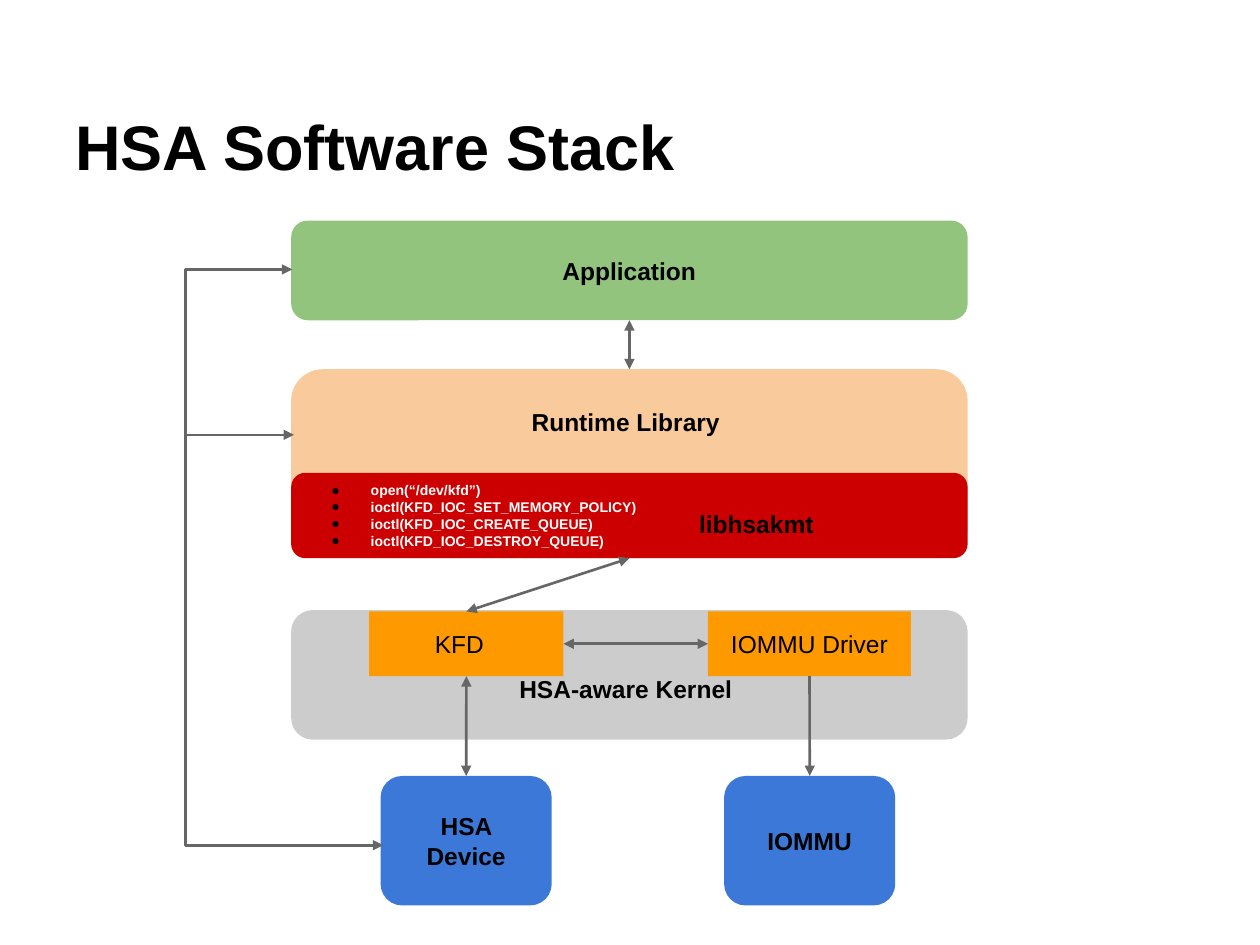
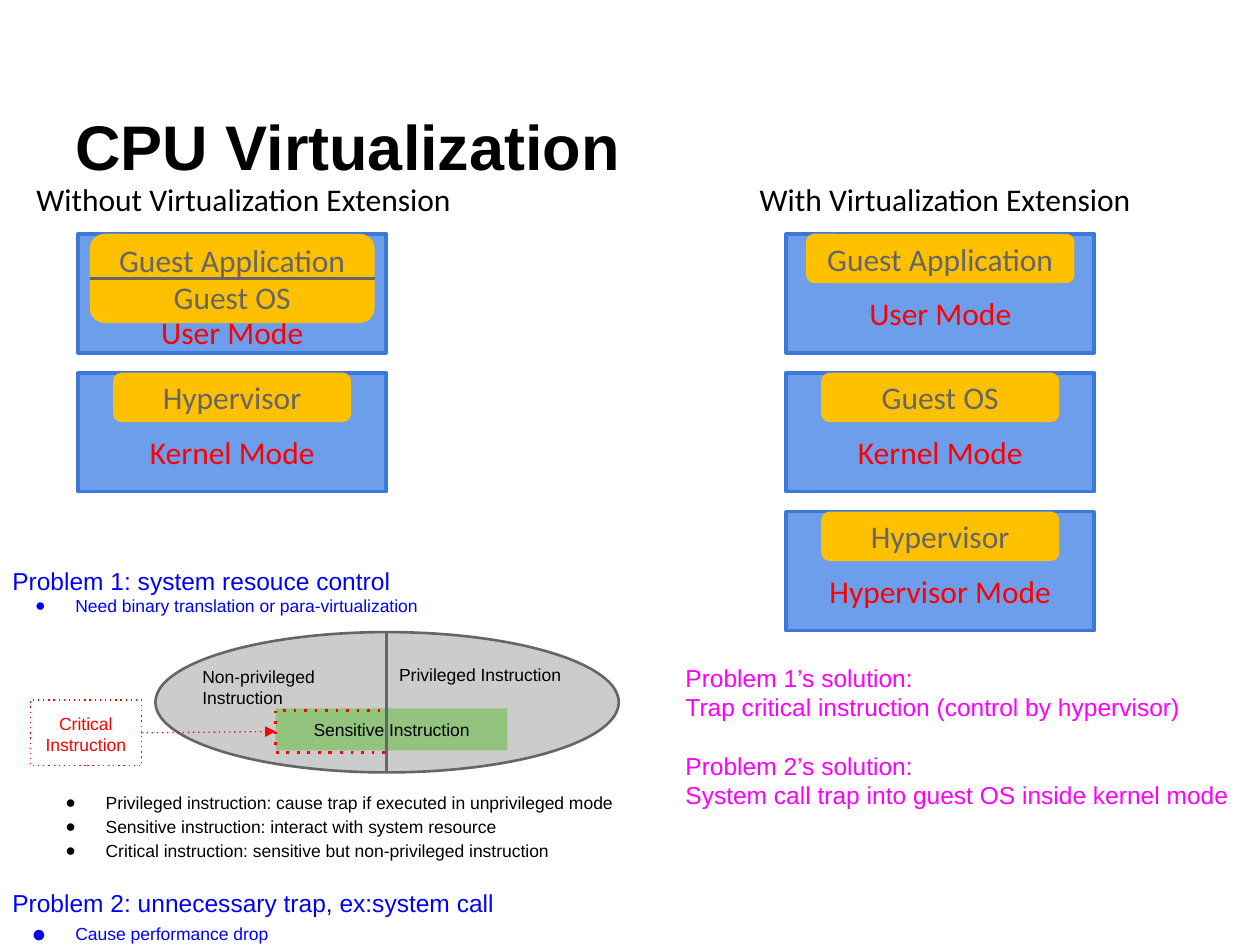
"""Build two slides: the HSA software stack and CPU virtualization."""
import pptx
import pptx.dml.color
import pptx.enum.shapes
import pptx.enum.text
import pptx.oxml.ns
import pptx.util
from lxml import etree

Pt = pptx.util.Pt
qn = pptx.oxml.ns.qn
color = pptx.dml.color.RGBColor.from_string
SHAPE = pptx.enum.shapes.MSO_SHAPE
STRAIGHT = pptx.enum.shapes.MSO_CONNECTOR.STRAIGHT
ALIGN = pptx.enum.text.PP_ALIGN
ANCHOR = pptx.enum.text.MSO_ANCHOR

BLACK, GRAY, SILVER, GREEN, ORANGE = "000000", "666666", "CCCCCC", "93C47D", "FF9900"
RED, BLUE, MAGENTA, AMBER = "FF0000", "0000FF", "FF00FF", "FFC000"
EVEN = (7.2, 7.2, 7.2, 7.2)
FLAT = (7.2, 3.6, 7.2, 3.6)


def add_block(slide, kind, place, fill=None, insets=EVEN, anchor=ANCHOR.MIDDLE):
    """Add a preset shape, or a text box when kind is None."""
    place = [Pt(value) for value in place]
    if kind is None:
        block = slide.shapes.add_textbox(*place)
    else:
        block = slide.shapes.add_shape(kind, *place)
        block.shadow.inherit = False
        block.line.fill.background()
        if fill:
            block.fill.solid()
            block.fill.fore_color.rgb = color(fill)
        else:
            block.fill.background()
    frame = block.text_frame
    frame.word_wrap = True
    frame.vertical_anchor = anchor
    frame.margin_left, frame.margin_top, frame.margin_right, frame.margin_bottom = map(Pt, insets)
    return block


def write(block, text, size, ink, font="Arial", bold=False, align=ALIGN.CENTER,
          bullet=None, bullet_size=100, indent=23, before=0, spacing=None):
    """Write one paragraph at the end of a block."""
    paragraph = block.text_frame.paragraphs[-1]
    if paragraph.runs:
        paragraph = block.text_frame.add_paragraph()
    if bullet:
        properties = paragraph._p.get_or_add_pPr()
        properties.set("marL", str(Pt(36)))
        properties.set("indent", str(-Pt(indent)))
        bullet_color = etree.SubElement(properties, qn("a:buClr"))
        etree.SubElement(bullet_color, qn("a:srgbClr"), val=bullet)
        etree.SubElement(properties, qn("a:buSzPct"), val=str(bullet_size * 1000))
        etree.SubElement(properties, qn("a:buFont"), typeface="Arial")
        etree.SubElement(properties, qn("a:buChar"), char="●")
    paragraph.alignment = align
    if before:
        paragraph.space_before = Pt(before)
    if spacing:
        paragraph.line_spacing = spacing
    run = paragraph.add_run()
    run.text = text
    run.font.size = Pt(size)
    run.font.name = font
    run.font.bold = bold
    run.font.color.rgb = color(ink)


deck = pptx.Presentation()
deck.slide_width, deck.slide_height = Pt(720), Pt(540)
strokes = []

slides = []
for heading in ("HSA Software Stack", "CPU Virtualization"):
    slide = deck.slides.add_slide(deck.slide_layouts[6])
    title = add_block(slide, None, (36, 21.6, 648, 90), anchor=ANCHOR.BOTTOM)
    write(title, heading, 36, BLACK, bold=True, align=ALIGN.LEFT)
    slides.append(slide)
stack, virtualization = slides

LAYER_LEFT, LAYER_WIDTH = 166.4, 386.6
parts = {}
for name, kind, place, fill, insets, bold in (
    ("HSA-aware Kernel", SHAPE.ROUNDED_RECTANGLE, (LAYER_LEFT, 348.6, LAYER_WIDTH, 74),
     SILVER, (7.2, 23.3, 11.2, 7.2), True),
    ("KFD", SHAPE.RECTANGLE, (211, 349.4, 111, 37), ORANGE, (7.2, 7.2, 15, 7.2), False),
    ("IOMMU Driver", SHAPE.RECTANGLE, (404.6, 349.4, 116, 37), ORANGE, EVEN, False),
    ("Runtime Library", SHAPE.ROUNDED_RECTANGLE, (LAYER_LEFT, 211, LAYER_WIDTH, 108),
     "F9CB9C", (7.2, 7.2, 11.2, 55.5), True),
    ("Application", SHAPE.ROUNDED_RECTANGLE, (LAYER_LEFT, 126, LAYER_WIDTH, 57), GREEN, EVEN, True),
    ("HSA Device", SHAPE.ROUNDED_RECTANGLE, (217.5, 443.4, 97.8, 74), "3C78D8", EVEN, True),
    ("IOMMU", SHAPE.ROUNDED_RECTANGLE, (413.8, 443.4, 97.8, 74), "3C78D8", EVEN, True),
):
    parts[name] = add_block(stack, kind, place, fill, insets)
    write(parts[name], name, 14, BLACK, bold=bold)

parts["libhsakmt"] = add_block(stack, SHAPE.ROUNDED_RECTANGLE,
                               (LAYER_LEFT, 270.2, LAYER_WIDTH, 48.8), "CC0000")
for call in ("open(“/dev/kfd”)", "ioctl(KFD_IOC_SET_MEMORY_POLICY)",
             "ioctl(KFD_IOC_CREATE_QUEUE)", "ioctl(KFD_IOC_DESTROY_QUEUE)"):
    write(parts["libhsakmt"], call, 8, "FFFFFF", bold=True, align=ALIGN.LEFT,
          bullet=BLACK, indent=22.5)
library_label = add_block(stack, None, (392.4, 283.7, 136, 24.5), anchor=ANCHOR.TOP)
write(library_label, "libhsakmt", 14, BLACK, bold=True, align=ALIGN.LEFT)

for start, start_side, end, end_side, head in (
    ("Application", 2, "Runtime Library", 0, True),
    ("libhsakmt", 2, "KFD", 0, True),
    ("KFD", 3, "IOMMU Driver", 1, True),
    ("KFD", 2, "HSA Device", 0, True),
    ("IOMMU Driver", 2, "IOMMU", 0, False),
):
    link = stack.shapes.add_connector(STRAIGHT, 0, 0, 0, 0)
    link.begin_connect(parts[start], start_side)
    link.end_connect(parts[end], end_side)
    strokes.append((link, GRAY, 1.5, False, head, True))

BUS_LEFT = 105.9
bus_path = stack.shapes.build_freeform(Pt(167), Pt(154))
bus_path.add_line_segments([(Pt(BUS_LEFT), Pt(154)), (Pt(BUS_LEFT), Pt(483)),
                            (Pt(219), Pt(483))], close=False)
bus = bus_path.convert_to_shape()
bus.shadow.inherit = False
bus.fill.background()
runtime_branch = stack.shapes.add_connector(STRAIGHT, Pt(BUS_LEFT), Pt(248.5), Pt(168), Pt(248.5))
strokes += [(bus, GRAY, 1.5, False, True, True),
            (runtime_branch, GRAY, 1.5, False, False, True)]

for caption, left, width in (("Without Virtualization Extension", 13.7, 270),
                             ("With Virtualization Extension", 427, 250.6)):
    column = add_block(virtualization, None, (left, 99.4, width, 28.8), insets=FLAT, anchor=ANCHOR.TOP)
    write(column, caption, 18, BLACK, "Calibri", align=ALIGN.LEFT)

for left, level, mode, gap_below, guests, guest_width, guest_height in (
    (44.7, 0, "User Mode", 1, ("Guest Application", "Guest OS"), 162.7, 51),
    (44.7, 1, "Kernel Mode", 12, ("Hypervisor",), 136, 28.2),
    (449.3, 0, "User Mode", 12, ("Guest Application",), 153.4, 28.2),
    (449.3, 1, "Kernel Mode", 12, ("Guest OS",), 136, 28.2),
    (449.3, 2, "Hypervisor Mode", 12, ("Hypervisor",), 136, 28.2),
):
    top = 133.6 + 79.4 * level
    mode_box = add_block(virtualization, SHAPE.RECTANGLE, (left, top, 176, 68), "6D9EEB",
                         (7.2, 0, 7.2, gap_below), ANCHOR.BOTTOM)
    write(mode_box, mode, 18, RED, "Calibri")
    strokes.append((mode_box, "3C78D8", 2, False, False, False))
    guest_left = left + (176 - guest_width) / 2
    guest_box = add_block(virtualization, SHAPE.ROUNDED_RECTANGLE,
                          (guest_left, top, guest_width, guest_height), AMBER, FLAT)
    for guest in guests:
        write(guest_box, guest, 18, GRAY, "Calibri")
    if len(guests) > 1:
        divider = virtualization.shapes.add_connector(STRAIGHT, 0, 0, 0, 0)
        divider.begin_connect(guest_box, 1)
        divider.end_connect(guest_box, 3)
        strokes.append((divider, GRAY, 1.5, False, False, False))

solutions = add_block(virtualization, None, (384.6, 371.6, 335.4, 90), anchor=ANCHOR.TOP)
for line, before in (("Problem 1’s solution:", 0),
                     ("Trap critical instruction (control by hypervisor)", 0),
                     ("Problem 2’s solution:", 16.5),
                     ("System call trap into guest OS inside kernel mode", 0)):
    write(solutions, line, 14, MAGENTA, align=ALIGN.LEFT, before=before)

for problem, effect, top, bullet_size, indent, before in (
    ("Problem 1: system resouce control", "Need binary translation or para-virtualization",
     316, 100, 23, 0),
    ("Problem 2: unnecessary trap, ex:system call", "Cause performance drop",
     500, 140, 25, 3.5),
):
    problem_box = add_block(virtualization, None, (0, top, 307, 28), anchor=ANCHOR.TOP)
    write(problem_box, problem, 14, BLUE, align=ALIGN.LEFT)
    write(problem_box, effect, 10, BLUE, align=ALIGN.LEFT, bullet=BLUE,
          bullet_size=bullet_size, indent=indent, before=before)

MIDDLE = 221
instructions = add_block(virtualization, SHAPE.OVAL, (88.8, 361.2, 264.8, 80.2), SILVER)
sensitive = add_block(virtualization, SHAPE.RECTANGLE, (157.5, 404.8, 132.4, 24), GREEN)
write(sensitive, "Sensitive Instruction", 10, BLACK)
critical_area = add_block(virtualization, SHAPE.RECTANGLE, (157.5, 406, MIDDLE - 157.5, 24))
critical = add_block(virtualization, SHAPE.RECTANGLE, (17.3, 400, 63.5, 37.6), anchor=ANCHOR.TOP)
write(critical, "Critical Instruction", 10, RED)
for group, left, width in (("Non-privileged Instruction", 108.5, 116.6),
                           ("Privileged Instruction", MIDDLE, 132.4)):
    group_label = add_block(virtualization, None, (left, 373.6, width, 44.6), anchor=ANCHOR.TOP)
    write(group_label, group, 10, BLACK, align=ALIGN.LEFT)

critical_arrow = virtualization.shapes.add_connector(STRAIGHT, 0, 0, 0, 0)
critical_arrow.begin_connect(critical, 3)
critical_arrow.end_connect(critical_area, 1)
privilege_border = virtualization.shapes.add_connector(
    STRAIGHT, Pt(MIDDLE), Pt(361.2), Pt(MIDDLE), Pt(441.4))
strokes += [(instructions, GRAY, 1.5, False, False, False),
            (critical_area, RED, 1.5, True, False, False),
            (critical, RED, 0.75, True, False, False),
            (critical_arrow, RED, 0.75, True, False, True),
            (privilege_border, GRAY, 1.5, False, False, False)]

definitions = add_block(virtualization, None, (17.3, 443.5, 348, 54), anchor=ANCHOR.TOP)
for definition in ("Privileged instruction: cause trap if executed in unprivileged mode",
                   "Sensitive instruction: interact with system resource",
                   "Critical instruction: sensitive but non-privileged instruction"):
    write(definitions, definition, 10, BLACK, align=ALIGN.LEFT, bullet=BLACK, spacing=1.15)

for stroke, ink, width, dotted, head, tail in strokes:
    stroke.line.color.rgb = color(ink)
    stroke.line.width = Pt(width)
    outline = stroke._element.spPr.find(qn("a:ln"))
    if dotted:
        etree.SubElement(outline, qn("a:prstDash"), val="dot")
    for tag, shown in (("a:headEnd", head), ("a:tailEnd", tail)):
        if shown:
            etree.SubElement(outline, qn(tag), type="triangle")
    if stroke._element.spPr.find(qn("a:effectLst")) is None:
        etree.SubElement(stroke._element.spPr, qn("a:effectLst"))

deck.save("out.pptx")
